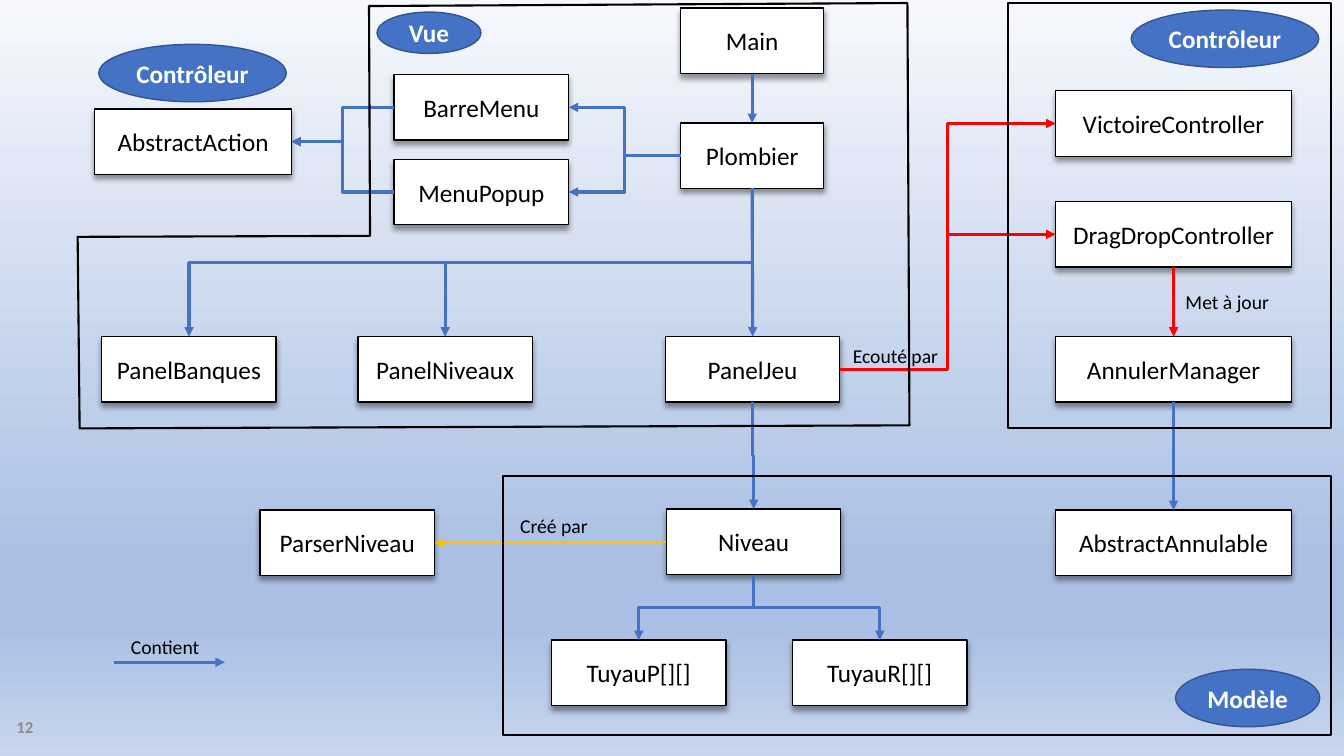
from lxml import etree
from pptx import Presentation
from pptx.dml.color import RGBColor
from pptx.enum.shapes import MSO_CONNECTOR, MSO_SHAPE
from pptx.enum.text import MSO_ANCHOR, PP_ALIGN
from pptx.oxml.ns import qn
from pptx.util import Inches, Pt

RECT, OVAL = MSO_SHAPE.RECTANGLE, MSO_SHAPE.OVAL
STRAIGHT, ELBOW = MSO_CONNECTOR.STRAIGHT, MSO_CONNECTOR.ELBOW
LEFT, CENTER, RIGHT = PP_ALIGN.LEFT, PP_ALIGN.CENTER, PP_ALIGN.RIGHT
TOP, MIDDLE = MSO_ANCHOR.TOP, MSO_ANCHOR.MIDDLE

FONT = "Calibri"
COLORS = {"black": "000000", "white": "FFFFFF", "blue": "4472C4", "navy": "325491",
          "red": "FF0000", "gold": "FFC000", "gray": "8C8C8C"}
BACKGROUND = [(0, "F6F8FC"), (74, "ABC0E4"), (83, "ABC0E4"), (100, "C7D5ED")]

BOX_H = 0.65
NARROW, PANEL, ACTION, WIDE = 1.42, 1.73, 1.95, 2.34
BOXES = [
    ("Main", 6.75, 0.08, NARROW),
    ("Plombier", 6.75, 1.22, NARROW),
    ("BarreMenu", 3.91, 0.74, PANEL),
    ("MenuPopup", 3.91, 1.58, PANEL),
    ("AbstractAction", 0.94, 1.08, ACTION),
    ("PanelBanques", 1.01, 3.34, PANEL),
    ("PanelNiveaux", 3.55, 3.34, PANEL),
    ("PanelJeu", 6.6, 3.34, PANEL),
    ("Niveau", 6.61, 5.05, PANEL),
    ("ParserNiveau", 2.58, 5.06, PANEL),
    ("TuyauP[][]", 5.47, 6.35, PANEL),
    ("TuyauR[][]", 7.86, 6.35, PANEL),
    ("VictoireController", 10.47, 0.9, WIDE),
    ("DragDropController", 10.47, 2, WIDE),
    ("AnnulerManager", 10.47, 3.34, WIDE),
    ("AbstractAnnulable", 10.47, 5.06, WIDE),
]
SITES = {"down": (2, 0), "left": (1, 3), "right": (3, 1)}
LINKS = [
    ("Main", "down", ["Plombier"], "blue", 2.25),
    ("Plombier", "down", ["PanelBanques", "PanelNiveaux", "PanelJeu"], "blue", 2.25),
    ("Plombier", "left", ["BarreMenu", "MenuPopup"], "blue", 2.25),
    ("BarreMenu", "left", ["AbstractAction"], "blue", 2.25),
    ("MenuPopup", "left", ["AbstractAction"], "blue", 2.25),
    ("PanelJeu", "down", ["Niveau"], "blue", 2.25),
    ("PanelJeu", "right", ["VictoireController", "DragDropController"], "red", 2.25),
    ("Niveau", "left", ["ParserNiveau"], "gold", 1),
    ("Niveau", "down", ["TuyauP[][]", "TuyauR[][]"], "blue", 2.25),
    ("DragDropController", "down", ["AnnulerManager"], "red", 2.25),
    ("AnnulerManager", "down", ["AbstractAnnulable"], "blue", 2.25),
]
LEGEND = (1.13, 6.57, 2.23, 6.57)
LABELS = [
    ("Créé par", 5.06, 5.05, 0.9),
    ("Ecouté par", 8.36, 3.36, 1.06),
    ("Contient", 1.2, 6.25, 1.06),
    ("Met à jour", 11.66, 2.83, 1.06),
]
VIEW_OUTLINE = [(3.66, 0.06), (3.67, 2.34), (0.77, 2.35), (0.79, 4.25), (9.02, 4.22), (9, 0.03)]
FRAMES = [(10, 0.03, 3.2, 4.22), (4.99, 4.72, 8.21, 2.57)]
LAYERS = [
    ("Vue", 3.74, 0.12, 1.03, 0.41),
    ("Modèle", 11.66, 6.64, 1.43, 0.57),
    ("Contrôleur", 11.22, 0.1, 1.86, 0.57),
    ("Contrôleur", 0.98, 0.44, 1.86, 0.57),
]
PAGE_NUMBER = ("12", 0.05, 7.01, 0.38, 0.4)


def rgb(name):
    return RGBColor.from_string(COLORS[name])


def write(sp, text, size, color, align=CENTER, anchor=MIDDLE, bold=False, wrap=True):
    tf = sp.text_frame
    tf.word_wrap, tf.vertical_anchor = wrap, anchor
    p = tf.paragraphs[0]
    p.text, p.alignment = text, align
    p.font.name, p.font.size, p.font.bold = FONT, Pt(size), bold
    p.font.color.rgb = rgb(color)


def style(sp, fill, line, width):
    sp.shadow.inherit = False
    if fill:
        sp.fill.solid()
        sp.fill.fore_color.rgb = rgb(fill)
    else:
        sp.fill.background()
    sp.line.color.rgb = rgb(line)
    sp.line.width = Pt(width)


def add_shape(kind, at, fill, line, width):
    sp = slide.shapes.add_shape(kind, *map(Inches, at))
    style(sp, fill, line, width)
    return sp


def add_text(text, at, *args, **kwargs):
    write(slide.shapes.add_textbox(*map(Inches, at)), text, *args, **kwargs)


def add_shadow(sp):
    effects = sp._element.spPr.find(qn("a:effectLst"))
    shadow = etree.SubElement(effects, qn("a:outerShdw"), blurRad=str(Pt(4)), dist=str(Pt(3)),
                              dir="5400000", algn="t", rotWithShape="0")
    color = etree.SubElement(shadow, qn("a:srgbClr"), val=COLORS["black"])
    etree.SubElement(color, qn("a:alpha"), val="40000")


def style_arrow(c, color, width):
    c.line.color.rgb = rgb(color)
    c.line.width = Pt(width)
    etree.SubElement(c.line._get_or_add_ln(), qn("a:tailEnd"), type="triangle")
    etree.SubElement(c._element.spPr, qn("a:effectLst"))


def turn_vertical(c):
    dx, dy = c.end_x - c.begin_x, c.end_y - c.begin_y
    cx, cy = (c.begin_x + c.end_x) // 2, (c.begin_y + c.end_y) // 2
    c.begin_x, c.begin_y = cx - dy // 2, cy + dx // 2
    c.end_x, c.end_y = cx + dy // 2, cy - dx // 2
    c._element.spPr.find(qn("a:xfrm")).set("rot", "5400000")


def link(source, target, way, color, width):
    start, end = SITES[way]
    vertical = way == "down"
    if vertical:
        offset = target.left + target.width // 2 - source.left - source.width // 2
    else:
        offset = target.top - source.top
    straight = abs(offset) < Inches(0.01)
    c = slide.shapes.add_connector(STRAIGHT if straight else ELBOW, 0, 0, 0, 0)
    c.begin_connect(source, start)
    c.end_connect(target, end)
    if vertical and not straight:
        turn_vertical(c)
    style_arrow(c, color, width)


prs = Presentation()
prs.slide_width, prs.slide_height = Inches(13.33), Inches(7.5)
slide = prs.slides.add_slide(prs.slide_layouts[6])

fill = slide.background.fill
fill.gradient()
fill.gradient_angle = 270
stops = slide._element.find(".//" + qn("a:gsLst"))
for gs in list(stops):
    stops.remove(gs)
for pos, color in BACKGROUND:
    gs = etree.SubElement(stops, qn("a:gs"), pos=str(pos * 1000))
    etree.SubElement(gs, qn("a:srgbClr"), val=color)

boxes = {}
for name, x, y, w in BOXES:
    sp = boxes[name] = add_shape(RECT, (x, y, w, BOX_H), "white", "black", 1)
    add_shadow(sp)
    write(sp, name, 18, "black")

for source, way, targets, color, width in LINKS:
    for target in targets:
        link(boxes[source], boxes[target], way, color, width)
style_arrow(slide.shapes.add_connector(STRAIGHT, *map(Inches, LEGEND)), "blue", 2.25)

for text, x, y, w in LABELS:
    add_text(text, (x, y, w, 0.34), 14, "black", LEFT, TOP)

points = [(Inches(x), Inches(y)) for x, y in VIEW_OUTLINE]
outline = slide.shapes.build_freeform(*points[0])
outline.add_line_segments(points[1:], close=True)
style(outline.convert_to_shape(), None, "black", 1.5)
for at in FRAMES:
    add_shape(RECT, at, None, "black", 1.5)

for text, *at in LAYERS:
    write(add_shape(OVAL, at, "blue", "navy", 1), text, 18, "white", bold=True, wrap=False)

number, *at = PAGE_NUMBER
add_text(number, at, 12, "gray", RIGHT, bold=True)

prs.save("out.pptx")
